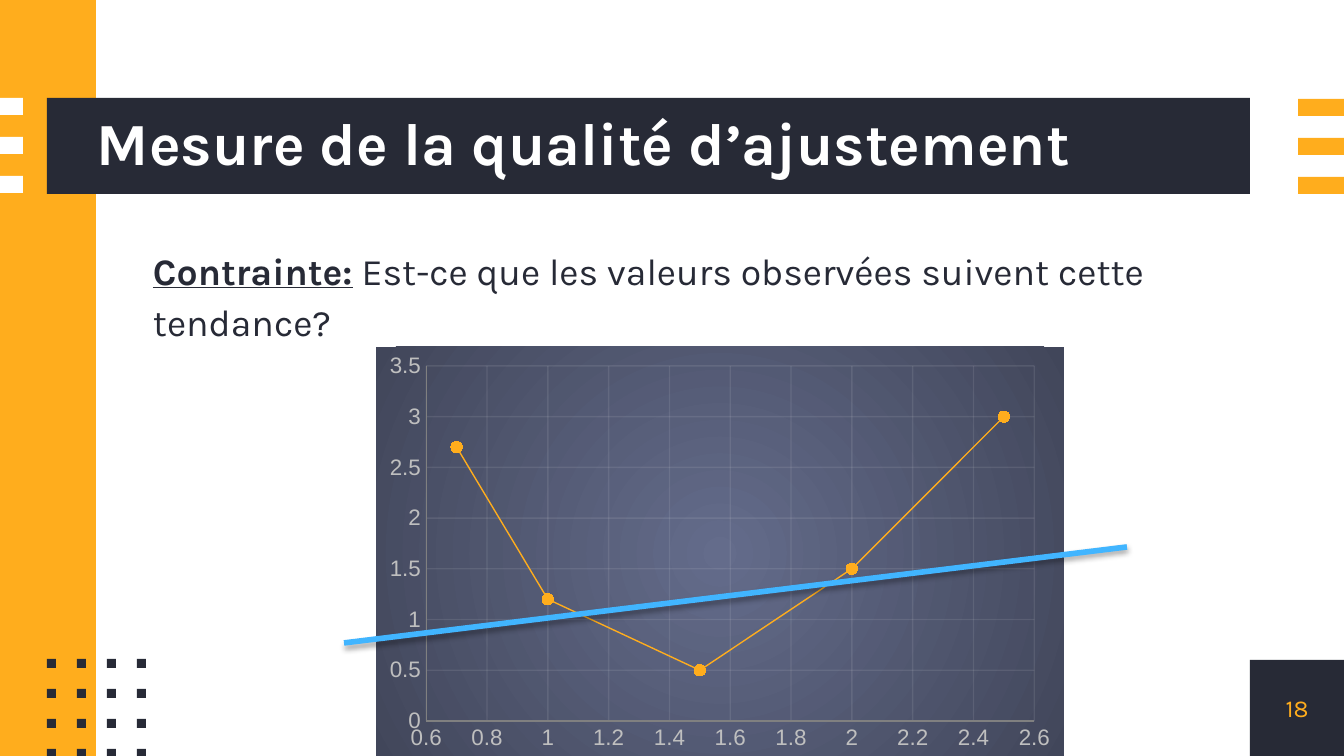
from lxml import etree
from pptx import Presentation
from pptx import util as u
from pptx.chart.data import XyChartData
from pptx.dml.color import RGBColor
from pptx.enum import chart as ch, shapes, text
from pptx.oxml import parse_xml
from pptx.oxml.ns import nsdecls, qn

# Content
TITLE = "Mesure de la qualité d’ajustement"
LEAD, ASK = "Contrainte:", " Est-ce que les valeurs observées suivent cette tendance?"
NUMBER = "18"
POINTS = [(0.7, 2.7), (1, 1.2), (1.5, 0.5), (2, 1.5), (2.5, 3)]
AXES = {"x": (0.6, 2.6, 0.2), "y": (0, 3.5, 0.5)}
HEX = {"dark": "272A36", "amber": "FFAD1D", "white": "FFFFFF", "blue": "41B5FF",
       "label": "BFBFBF", "axis": "808080", "grid": "F2F2F2",
       "inner": "646C8B", "outer": "41465A"}

# Places in px: left, top, width, height
WIDE, HIGH = 1344, 756
BAR = (47, 98, 1203, 96)
CORNER = (1250, 660, 94, 96)
HEAD = (97, 98, 1153, 96)
BODY = (142, 241, 1090, 484)
PLOT = (376, 347, 688, 413)
INNER = (426, 366, 608, 355)
TREND = (344, 643, 1127, 547)
PANELS = [(CORNER, "dark"), ((0, 0, 96, HIGH), "amber"), (BAR, "dark")]
STRIPES = [((left, 98 + 39 * row + lift, width, 17), color)
           for left, width, color, lift in [(0, 23, "white", 0), (1298, 46, "amber", 1)]
           for row in range(3)]
DOTS = [((47 + 30 * col, 659 + 30 * row, 9, 9), "dark")
        for row in range(4) for col in range(4)]


def px(*sizes):
    return [u.Emu(round(size * 914400 / 134.4)) for size in sizes]


def rgb(name):
    return RGBColor.from_string(HEX[name])


def set_frame(frame, anchor):
    frame.word_wrap = True
    frame.auto_size = text.MSO_AUTO_SIZE.NONE
    frame.vertical_anchor = anchor
    frame.margin_left = frame.margin_top = frame.margin_right = frame.margin_bottom = 0
    return frame.paragraphs[0]


def add_run(para, words, size, color, bold=False, under=False):
    run = para.add_run()
    run.text = words
    font = run.font
    font.name, font.size, font.bold, font.underline = "Karla", u.Pt(size), bold, under
    font.color.rgb = rgb(color)


def set_axis(axis, low, high, step):
    axis.minimum_scale, axis.maximum_scale, axis.major_unit = low, high, step
    axis.major_tick_mark = axis.minor_tick_mark = ch.XL_TICK_MARK.NONE
    axis.has_major_gridlines = True
    font = axis.tick_labels.font
    font.size, font.name = u.Pt(12), "Arial"
    font.color.rgb = rgb("label")
    axis.tick_labels.number_format = "General"
    axis.tick_labels.number_format_is_linked = False
    for line, color in [(axis.format.line, "axis"),
                        (axis.major_gridlines.format.line, "grid")]:
        line.width = u.Pt(0.75)
        line.color.rgb = rgb(color)


deck = Presentation()
deck.slide_width, deck.slide_height = px(WIDE, HIGH)
slide = deck.slides.add_slide(deck.slide_layouts[5])

# Bars, stripes and dots
for place, color in PANELS + STRIPES + DOTS:
    box = slide.shapes.add_shape(shapes.MSO_SHAPE.RECTANGLE, *px(*place))
    box.shadow.inherit = False
    box.fill.solid()
    box.fill.fore_color.rgb = rgb(color)
    box.line.fill.background()

# Title, brought in front of its bar
title = slide.shapes.title
title.left, title.top, title.width, title.height = px(*HEAD)
title.element.getparent().append(title.element)
para = set_frame(title.text_frame, text.MSO_ANCHOR.MIDDLE)
para.alignment = text.PP_ALIGN.LEFT
para.line_spacing = 0.9
add_run(para, TITLE, 32, "white", bold=True)

# Question
body = slide.shapes.add_textbox(*px(*BODY))
para = set_frame(body.text_frame, text.MSO_ANCHOR.TOP)
para.line_spacing, para.space_before = 1.15, u.Pt(6)
props = para._p.get_or_add_pPr()
props.set("marL", str(px(11)[0]))
props.set("indent", "0")
add_run(para, LEAD, 20, "dark", bold=True, under=True)
add_run(para, ASK, 20, "dark")

# Slide number
page = slide.shapes.add_textbox(*px(*CORNER))
para = set_frame(page.text_frame, text.MSO_ANCHOR.MIDDLE)
para.alignment = text.PP_ALIGN.CENTER
add_run(para, NUMBER, 13, "amber")

# Scatter chart
data = XyChartData()
series = data.add_series("Series 1")
for x, y in POINTS:
    series.add_data_point(x, y)
chart = slide.shapes.add_chart(ch.XL_CHART_TYPE.XY_SCATTER_SMOOTH, *px(*PLOT), data).chart
chart.has_title = chart.has_legend = False
chart.font.size, chart.font.name = u.Pt(10), "Arial"
chart.font.color.rgb = rgb("dark")
chart.plots[0].vary_by_categories = False
set_axis(chart.category_axis, *AXES["x"])
set_axis(chart.value_axis, *AXES["y"])
curve = chart.plots[0].series[0]
curve.smooth = True
curve.format.line.width = u.Pt(0.75)
curve.format.line.color.rgb = rgb("amber")
curve.marker.style, curve.marker.size = ch.XL_MARKER_STYLE.CIRCLE, 6
curve.marker.format.fill.solid()
curve.marker.format.fill.fore_color.rgb = rgb("amber")
curve.marker.format.line.fill.background()

# Chart background, faint grid and plot layout
space = chart._chartSpace
for tint in space.xpath(".//c:majorGridlines//a:srgbClr"):
    etree.SubElement(tint, qn("a:alpha")).set("val", "10000")
space.find(qn("c:chart")).addnext(parse_xml(
    f'<c:spPr {nsdecls("c", "a")}><a:gradFill><a:gsLst>'
    f'<a:gs pos="0"><a:srgbClr val="{HEX["inner"]}"/></a:gs>'
    f'<a:gs pos="100000"><a:srgbClr val="{HEX["outer"]}"/></a:gs></a:gsLst>'
    '<a:path path="circle"><a:fillToRect l="50000" t="50000" r="50000" b="50000"/>'
    '</a:path></a:gradFill><a:ln><a:noFill/></a:ln></c:spPr>'))
area = space.find(".//" + qn("c:plotArea"))
for old in area.findall(qn("c:layout")):
    area.remove(old)
parts = [(INNER[0] - PLOT[0]) / PLOT[2], (INNER[1] - PLOT[1]) / PLOT[3],
         INNER[2] / PLOT[2], INNER[3] / PLOT[3]]
sizes = "".join(f'<c:{key} val="{part:.3f}"/>' for key, part in zip("xywh", parts))
area.insert(0, parse_xml(
    f'<c:layout {nsdecls("c")}><c:manualLayout><c:layoutTarget val="inner"/>'
    f'<c:xMode val="edge"/><c:yMode val="edge"/>{sizes}</c:manualLayout></c:layout>'))

# Trend line with a soft shadow
trend = slide.shapes.add_connector(shapes.MSO_CONNECTOR.STRAIGHT, *px(*TREND))
trend.line.width = u.Pt(3)
trend.line.color.rgb = rgb("blue")
trend.element.spPr.append(parse_xml(
    f'<a:effectLst {nsdecls("a")}><a:outerShdw blurRad="{u.Pt(3.1)}" dist="{u.Pt(1.8)}" '
    'dir="5400000" rotWithShape="0"><a:srgbClr val="000000"><a:alpha val="35000"/>'
    '</a:srgbClr></a:outerShdw></a:effectLst>'))

deck.save("out.pptx")
